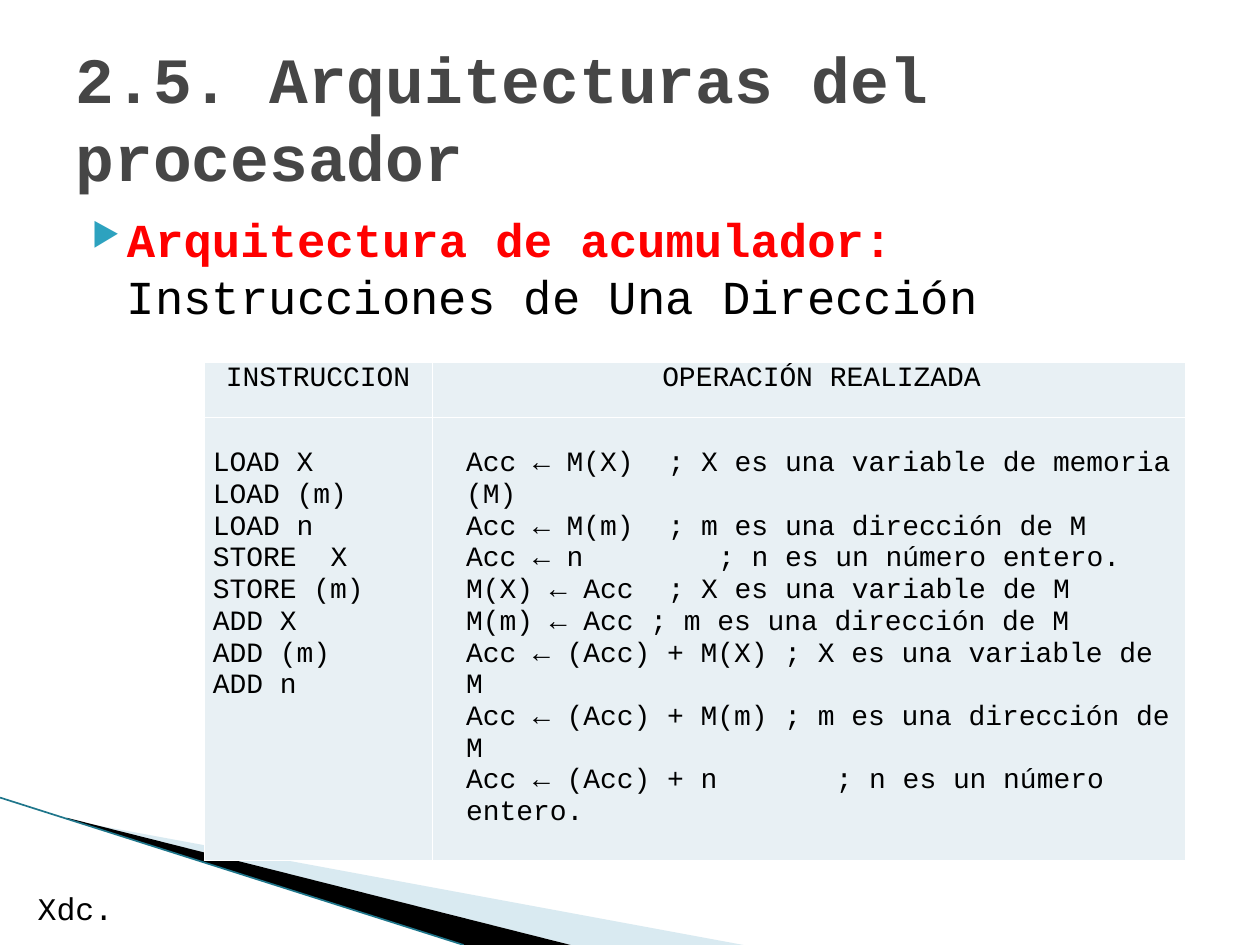
import pptx
import pptx.dml.color
import pptx.enum.text
import pptx.oxml.ns
import pptx.util
import lxml.etree

inch = pptx.util.Inches
qn = pptx.oxml.ns.qn
align = pptx.enum.text.PP_ALIGN
anchor = pptx.enum.text.MSO_ANCHOR
fit = pptx.enum.text.MSO_AUTO_SIZE

theme = {
    "font": "Courier New", "sign": "OpenSymbol",
    "ink": "000000", "title": "464646", "red": "FF0000", "mark": "2DA2BF",
    "cell": "E8F0F4", "rule": "FFFFFF", "pale": "A0CBDC", "line": "1F768B",
    "head": 36.9, "body": 27, "foot": 18, "code": 16,
}
title = "2.5. Arquitecturas del procesador"
lead = "Arquitectura de acumulador: "
topic = "Instrucciones de Una Dirección"
foot = "Xdc."
heads = ["INSTRUCCION", "OPERACIÓN REALIZADA"]
codes = [
    ("LOAD X",), ("LOAD (m)",), ("LOAD n",), ("STORE\tX", 7),
    ("STORE (m)",), ("ADD X",), ("ADD (m)",), ("ADD n",),
]
steps = [
    ("Acc ← M(X)\t; X es una variable de memoria (M)", 12),
    ("Acc ← M(m)\t; m es una dirección de M", 12),
    ("Acc ← n\t; n es un número entero.", 15),
    ("M(X) ← Acc\t; X es una variable de M", 12),
    ("M(m) ← Acc ; m es una dirección de M",),
    ("Acc ← (Acc) + M(X) ; X es una variable de M",),
    ("Acc ← (Acc) + M(m) ; m es una dirección de M",),
    ("Acc ← (Acc) + n\t; n es un número entero.", 22),
]
bands = [
    ([(0.55, 6.51), (5.9, 7.5), (4.53, 7.5), (0.55, 6.5)], "pale", 40),
    ([(0.53, 6.49), (4.53, 7.5), (3.68, 7.5), (0.54, 6.5)], "ink", 100),
]
widths = [1.81, 5.98]
heights = [0.43, 3.52]
pads = [0.07, 0.27]
pitch = 0.6 * theme["code"] / 72


def tint(name):
    return pptx.dml.color.RGBColor.from_string(theme[name])


def add(node, tag, **attrs):
    return lxml.etree.SubElement(node, qn(tag), {k: str(v) for k, v in attrs.items()})


def write(para, text, size="code", color="ink", bold=False, side=align.LEFT, stop=None):
    para.alignment = side
    run = para.add_run()
    run.text = text
    run.font.name = theme["font"]
    run.font.size = pptx.util.Pt(theme[size])
    run.font.bold = bold
    run.font.color.rgb = tint(color)
    if stop:
        tabs = add(para._p.get_or_add_pPr(), "a:tabLst")
        add(tabs, "a:tab", pos=inch(stop * pitch), algn="l")


def band(slide, points, color, alpha):
    spots = [(inch(x), inch(y)) for x, y in points]
    pen = slide.shapes.build_freeform(*spots[0])
    pen.add_line_segments(spots[1:], close=True)
    shape = pen.convert_to_shape()
    shape.shadow.inherit = False
    shape.line.fill.background()
    shape.fill.solid()
    shape.fill.fore_color.rgb = tint(color)
    if alpha < 100:
        hue = shape.fill._xPr.find(".//" + qn("a:srgbClr"))
        add(hue, "a:alpha", val=alpha * 1000)


def box(slide, *place):
    frame = slide.shapes.add_textbox(*map(inch, place)).text_frame
    frame.word_wrap = True
    return frame


def bullet(para):
    para.space_before = pptx.util.Pt(4)
    props = para._p.get_or_add_pPr()
    props.set("marL", str(inch(0.4)))
    props.set("indent", str(inch(-0.28)))
    add(add(props, "a:buClr"), "a:srgbClr", val=theme["mark"])
    add(props, "a:buSzPct", val=68000)
    add(props, "a:buFont", typeface=theme["sign"])
    add(props, "a:buChar", char="▶")


def dress(cell, pad, top, base):
    cell.margin_left, cell.margin_right = inch(pad), inch(0.07)
    cell.margin_top, cell.margin_bottom = inch(top), inch(base)
    cell.fill.solid()
    cell.fill.fore_color.rgb = tint("cell")
    props = cell._tc.get_or_add_tcPr()
    for spot, edge in enumerate(["a:lnL", "a:lnR", "a:lnT", "a:lnB"]):
        line = add(props, edge, w=pptx.util.Pt(0.5))
        add(add(line, "a:solidFill"), "a:srgbClr", val=theme["rule"])
        props.insert(spot, line)


def grid(slide):
    place = (1.62, 2.88, sum(widths), sum(heights))
    table = slide.shapes.add_table(2, 2, *map(inch, place)).table
    for row, high in zip(table.rows, heights):
        row.height = inch(high)
    for col, wide in enumerate(widths):
        table.columns[col].width = inch(wide)
        top, main = table.cell(0, col), table.cell(1, col)
        dress(top, pads[col], 0, 0)
        dress(main, pads[col], 0.25, 0.05)
        write(top.text_frame.paragraphs[0], heads[col], side=align.CENTER)
        frame = main.text_frame
        for num, (text, *stop) in enumerate([codes, steps][col]):
            para = frame.add_paragraph() if num else frame.paragraphs[0]
            write(para, text, stop=stop[0] if stop else None)


def main():
    deck = pptx.Presentation()
    deck.slide_width, deck.slide_height = inch(10), inch(7.5)
    slide = deck.slides.add_slide(deck.slide_layouts[5])
    for item in bands:
        band(slide, *item)
    line = slide.shapes.add_connector(1, *map(inch, (0, 6.33, 3.68, 7.5)))
    line.line.color.rgb = tint("line")
    line.line.width = pptx.util.Pt(0.95)
    add(line._element.spPr, "a:effectLst")

    write(box(slide, 0.2, 7.01, 3.52, 0.4).paragraphs[0], foot, size="foot")

    para = box(slide, 0.51, 1.62, 9, 5.44).paragraphs[0]
    bullet(para)
    write(para, lead, size="body", color="red", bold=True)
    write(para, topic, size="body")

    name = slide.shapes.title
    name.left, name.top, name.width, name.height = map(inch, (0.5, 0.3, 9, 1.25))
    name.text_frame.vertical_anchor = anchor.MIDDLE
    name.text_frame.auto_size = fit.NONE
    write(name.text_frame.paragraphs[0], title, size="head", color="title", bold=True)

    grid(slide)
    deck.save("out.pptx")


if __name__ == "__main__":
    main()
